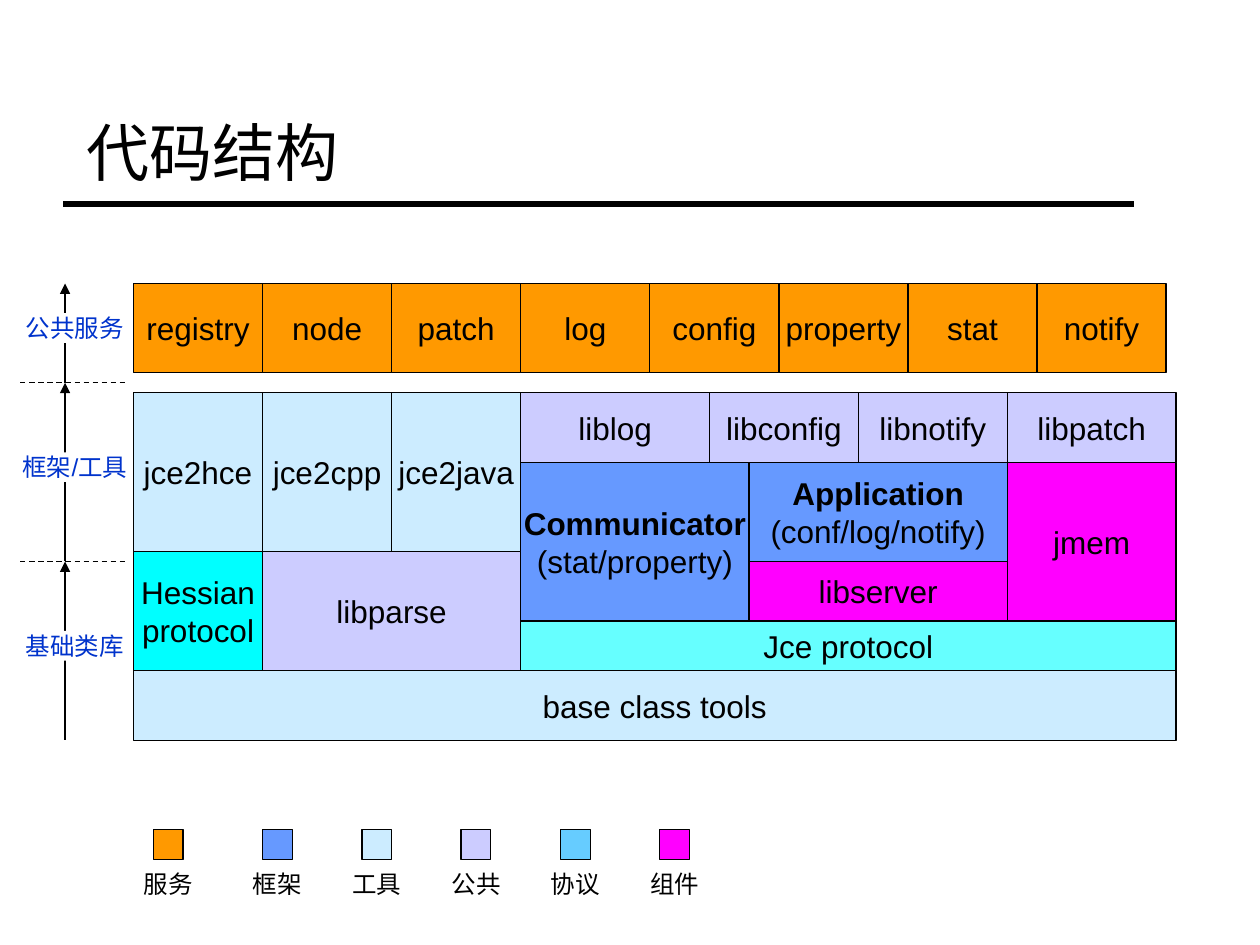
from lxml import etree
from pptx import Presentation
from pptx.dml.color import RGBColor
from pptx.enum.dml import MSO_LINE
from pptx.enum.shapes import MSO_CONNECTOR, MSO_SHAPE
from pptx.enum.text import MSO_ANCHOR, MSO_AUTO_SIZE, PP_ALIGN
from pptx.oxml.ns import qn
from pptx.util import Inches, Pt

# Diagram grid: square cells, origin at the top left of the block stack
LEFT, TOP, CELL = 1.06, 2.25, 0.0788

ORANGE, BLUE, PALE, LILAC = "FF9900", "6699FF", "CCECFF", "CCCCFF"
SKY, MAGENTA, AQUA, CYAN = "66CCFF", "FF00FF", "66FFFF", "00FFFF"
BLACK, WHITE, LABEL_BLUE = "000000", "FFFFFF", "0033CC"

SERVICES = ["registry", "node", "patch", "log", "config", "property", "stat", "notify"]

# Text, fill, column, row, columns wide, rows high
MODULES = [
    ("jce2hce", PALE, 0, 0, 13, 16),
    ("jce2cpp", PALE, 13, 0, 13, 16),
    ("jce2java", PALE, 26, 0, 13, 16),
    ("liblog", LILAC, 39, 0, 19, 7),
    ("libconfig", LILAC, 58, 0, 15, 7),
    ("libnotify", LILAC, 73, 0, 15, 7),
    ("libpatch", LILAC, 88, 0, 17, 7),
    ("Communicator\n(stat/property)", BLUE, 39, 7, 23, 16),
    ("Application\n(conf/log/notify)", BLUE, 62, 7, 26, 10),
    ("libserver", MAGENTA, 62, 17, 26, 6),
    ("jmem", MAGENTA, 88, 7, 17, 16),
    ("Hessian\nprotocol", CYAN, 0, 16, 13, 12),
    ("libparse", LILAC, 13, 16, 26, 12),
    ("Jce protocol", AQUA, 39, 23, 66, 5),
    ("base class tools", PALE, 0, 28, 105, 7),
]

# Layer name, first row, last row, row of its label
LAYERS = [("公共服务", 0, 10, 3), ("框架/工具", 10, 28, 17), ("基础类库", 28, 46, 35)]

LEGEND = [("服务", ORANGE), ("框架", BLUE), ("工具", PALE),
          ("公共", LILAC), ("协议", SKY), ("组件", MAGENTA)]


def rgb(value):
    return RGBColor.from_string(value)


def grid_x(col):
    return Inches(LEFT + col * CELL)


def grid_y(row):
    return Inches(TOP + row * CELL)


def span(cells):
    return Inches(cells * CELL)


def write(tf, text, size, color=BLACK, wrap=False):
    tf.text = text
    tf.word_wrap = wrap
    tf.vertical_anchor = MSO_ANCHOR.MIDDLE
    for p in tf.paragraphs:
        p.alignment = PP_ALIGN.CENTER
        for r in p.runs:
            r.font.size, r.font.name = Pt(size), "Arial"
            r.font.color.rgb = rgb(color)


def add_block(s, col, row, cols, rows, fill, line=BLACK):
    sp = s.shapes.add_shape(MSO_SHAPE.RECTANGLE, grid_x(col), grid_y(row),
                            span(cols), span(rows))
    sp.shadow.inherit = False
    sp.fill.solid()
    sp.fill.fore_color.rgb = rgb(fill)
    if line:
        sp.line.color.rgb = rgb(line)
        sp.line.width = Pt(0.75)
    else:
        sp.line.fill.background()
    return sp


def add_line(s, x1, y1, x2, y2, width=0.75):
    cn = s.shapes.add_connector(MSO_CONNECTOR.STRAIGHT, x1, y1, x2, y2)
    cn.line.color.rgb = rgb(BLACK)
    cn.line.width = Pt(width)
    etree.SubElement(cn._element.spPr, qn("a:effectLst"))
    return cn


def add_title(s, text, left, top, width, height):
    title = s.shapes.title
    title.left, title.top = Inches(left), Inches(top)
    title.width, title.height = Inches(width), Inches(height)
    tf = title.text_frame
    tf.text = text
    tf.auto_size = MSO_AUTO_SIZE.NONE
    tf.vertical_anchor = MSO_ANCHOR.BOTTOM
    tf.margin_left = Inches(0.21)
    p = tf.paragraphs[0]
    p.alignment = PP_ALIGN.LEFT
    font = p.runs[0].font
    font.size, font.name = Pt(36), "Times New Roman"
    font.color.rgb = rgb(BLACK)
    # Rule under the title
    rule_y = Inches(1.62)
    add_line(s, Inches(0.5), rule_y, Inches(9), rule_y, width=3)


def add_services(s, col, row, cols=13, rows=9):
    for i, name in enumerate(SERVICES):
        sp = add_block(s, col + i * cols, row, cols, rows, ORANGE)
        write(sp.text_frame, name, 18)


def add_modules(s, col, row):
    for text, fill, dx, dy, cols, rows in MODULES:
        sp = add_block(s, col + dx, row + dy, cols, rows, fill)
        write(sp.text_frame, text, 18)
        if fill == BLUE:
            sp.text_frame.paragraphs[0].runs[0].font.bold = True


def add_layer_scale(s, col, row):
    axis = grid_x(col + 4.5)
    for name, first, last, label_row in LAYERS:
        arrow = add_line(s, axis, grid_y(row + first), axis, grid_y(row + last))
        etree.SubElement(arrow.line._get_or_add_ln(), qn("a:headEnd"), type="triangle")
        label = add_block(s, col, row + label_row, 11, 3, WHITE, line=None)
        write(label.text_frame, name, 14, LABEL_BLUE)
    # Dashed dividers between layers
    for _, first, _, _ in LAYERS[1:]:
        y = grid_y(row + first)
        divider = add_line(s, grid_x(col), y, grid_x(col + 10.5), y)
        divider.line.dash_style = MSO_LINE.DASH


def add_legend(s, col, row):
    # The first gap is one cell wider than the others
    for i, (name, fill) in enumerate(LEGEND):
        x = col + 10 * i + min(i, 1)
        add_block(s, x, row, 3, 3, fill)
        # Label centred under its swatch, wide enough for one line
        tb = s.shapes.add_textbox(grid_x(x - 3), grid_y(row + 4), span(9), span(3))
        write(tb.text_frame, name, 14, wrap=True)


def main():
    prs = Presentation()
    prs.slide_width, prs.slide_height = Inches(10), Inches(7.5)
    s = prs.slides.add_slide(prs.slide_layouts[5])
    add_title(s, "代码结构", 0.48, 0.11, 9.02, 1.44)
    add_services(s, 0, 0)
    add_modules(s, 0, 11)
    add_layer_scale(s, -11.4, 0)
    add_legend(s, 2, 55)
    prs.save("out.pptx")


if __name__ == "__main__":
    main()
